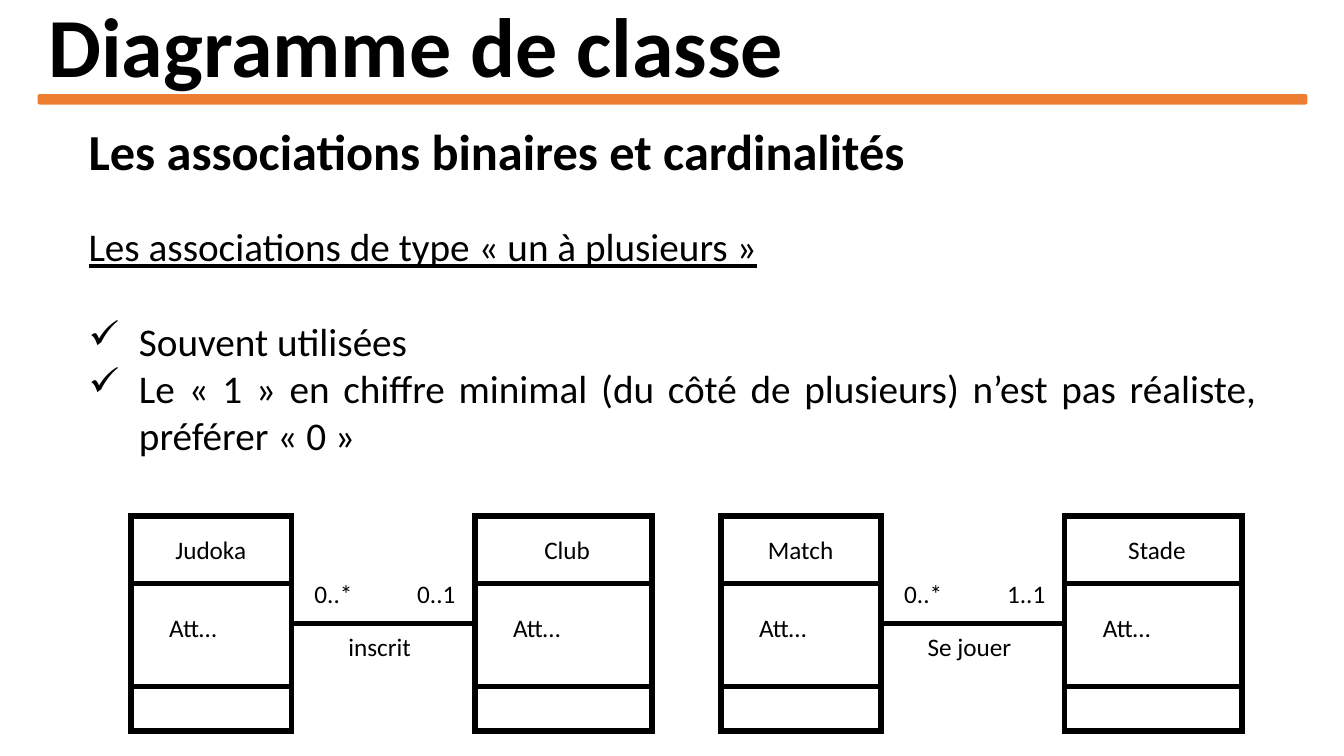
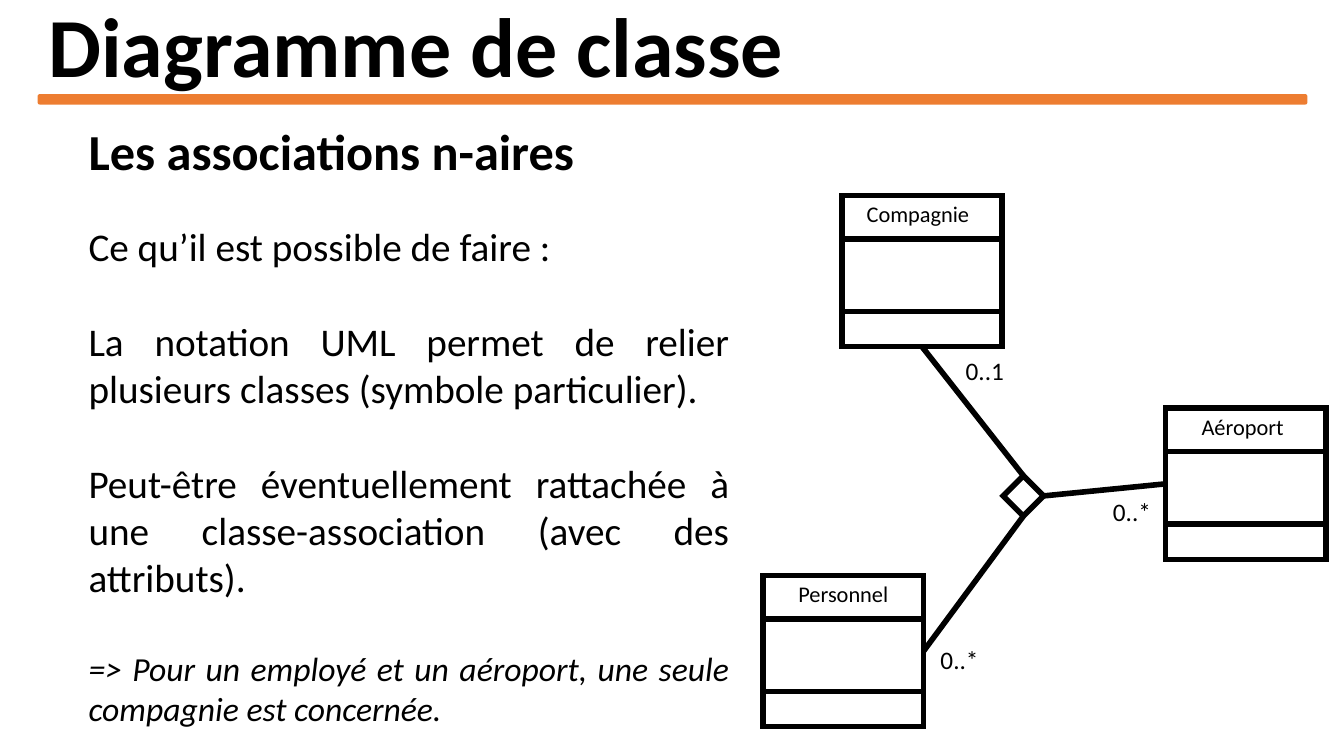
from lxml import etree
from pptx import Presentation
from pptx import util as u
from pptx.dml.color import RGBColor
from pptx.enum import shapes, text
from pptx.oxml.ns import qn

PX = 9144
COLORS = {"ink": "000000", "paper": "FFFFFF", "accent": "ED7D31"}
FONT = "Calibri"
GAP = 34
CENTER, JUSTIFY = text.PP_ALIGN.CENTER, text.PP_ALIGN.JUSTIFY
TOP, LEFT, BOTTOM, RIGHT = range(4)


def px(n):
    return u.Emu(round(n * PX))


def rgb(name):
    return RGBColor.from_string(COLORS[name])


def write(tf, words, size=18, bold=None, italic=None, underline=None,
          align=None, before=0, spacing=None, bullet=None):
    p = tf.paragraphs[0] if not tf.paragraphs[0].runs else tf.add_paragraph()
    if bullet:
        pPr = p._p.get_or_add_pPr()
        pPr.set("marL", str(px(50)))
        pPr.set("indent", str(-px(50)))
        etree.SubElement(pPr, qn("a:buChar")).set("char", bullet)
    p.alignment = align
    p.line_spacing = spacing
    if before:
        p.space_before = u.Pt(before)
    r = p.add_run()
    r.text = words
    f = r.font
    f.name, f.size, f.color.rgb = FONT, u.Pt(size), rgb("ink")
    f.bold, f.italic, f.underline = bold, italic, underline


class Deck:
    def __init__(self):
        self.prs = Presentation()
        self.prs.slide_width, self.prs.slide_height = px(1333), px(750)

    def slide(self, heading):
        self.s = self.prs.slides.add_slide(self.prs.slide_layouts[6])
        tf = self.box(38, 0, 1258, 100)
        tf.vertical_anchor = text.MSO_ANCHOR.MIDDLE
        write(tf, "Diagramme de classe", size=60, bold=True, spacing=0.9)
        self.shape("ROUNDED_RECTANGLE", 38, 94, 1258, 9,
                   fill="accent", line="accent", weight=1)
        self.label(heading, 78, 114, 1178, 71, size=36, bold=True, align=JUSTIFY)

    def box(self, x, y, w, h):
        tf = self.s.shapes.add_textbox(px(x), px(y), px(w), px(h)).text_frame
        tf.word_wrap = True
        return tf

    def label(self, words, x, y, w, h=40, **fmt):
        write(self.box(x, y, w, h), words, **fmt)

    def body(self, w, h, paragraphs):
        tf = self.box(78, 216, w, h)
        for words, fmt in paragraphs:
            write(tf, words, **{"size": 28, "align": JUSTIFY, **fmt})

    def shape(self, kind, x, y, w, h, fill="paper", line="ink", weight=4):
        sp = self.s.shapes.add_shape(shapes.MSO_SHAPE[kind], px(x), px(y), px(w), px(h))
        sp.shadow.inherit = False
        sp.fill.solid()
        sp.fill.fore_color.rgb = rgb(fill)
        sp.line.color.rgb, sp.line.width = rgb(line), u.Pt(weight)
        etree.SubElement(sp.line._get_or_add_ln(), qn("a:miter")).set("lim", "800000")
        return sp

    def line(self, x1, y1, x2, y2):
        c = self.s.shapes.add_connector(
            shapes.MSO_CONNECTOR.STRAIGHT, px(x1), px(y1), px(x2), px(y2))
        c.line.color.rgb, c.line.width = rgb("ink"), u.Pt(4)
        etree.SubElement(c._element.spPr, qn("a:effectLst"))
        return c

    def link(self, start, start_site, end, end_site):
        c = self.line(0, 0, 0, 0)
        c.begin_connect(start, start_site)
        c.end_connect(end, end_site)

    def uml_class(self, name, x, y, w, h, cuts, name_at, size=18):
        sp = self.shape("RECTANGLE", x, y, w, h)
        for cut in cuts:
            self.line(x, y + cut, x + w, y + cut)
        dx, dy, name_w = name_at
        self.label(name, x + dx, y + dy, name_w, size=size, align=CENTER)
        return sp

    def association(self, x, many, verb, one, cardinality):
        y, h, cuts = 512, 213, (67, 169)
        left = self.uml_class(many, x, y, 159, h, cuts, (7, 13, 144))
        right = self.uml_class(one, x + 341, y, 176, h, cuts, (29, 13, 125))
        for class_x in (x, x + 341):
            self.label("Att…", class_x + 28, 603, 100)
        self.link(left, RIGHT, right, LEFT)
        self.label("0..*", x + 172, 569, 60)
        self.label(cardinality, x + 274, 569, 67)
        self.label(verb, x + 167, 621, 159, align=CENTER)


def binary_slide(d):
    d.slide("Les associations binaires et cardinalités")
    d.body(1178, 246, [
        ("Les associations de type « un à plusieurs »", {"underline": True}),
        ("Souvent utilisées", {"bullet": "✓", "before": GAP}),
        ("Le « 1 » en chiffre minimal (du côté de plusieurs) n’est pas réaliste, "
         "préférer « 0 »", {"bullet": "✓"}),
    ])
    d.association(130, "Judoka", "inscrit", "Club", "0..1")
    d.association(715, "Match", "Se jouer", "Stade", "1..1")


def nary_slide(d):
    d.slide("Les associations n-aires")
    d.body(655, 528, [
        ("Ce qu’il est possible de faire :", {}),
        ("La notation UML permet de relier plusieurs classes (symbole particulier).",
         {"before": GAP}),
        ("Peut-être éventuellement rattachée à une classe-association "
         "(avec des attributs).", {"before": GAP}),
        ("=> Pour un employé et un aéroport, une seule compagnie est concernée.",
         {"before": GAP, "size": 24, "italic": True}),
    ])
    diamond = d.shape("DIAMOND", 995, 472, 40, 40)
    classes = [
        ("Compagnie", 835, 194, (0, 0, 151), BOTTOM, TOP),
        ("Personnel", 757, 571, (8, 0, 143), RIGHT, BOTTOM),
        ("Aéroport", 1156, 405, (0, 0, 153), LEFT, RIGHT),
    ]
    for name, x, y, name_at, class_site, diamond_site in classes:
        sp = d.uml_class(name, x, y, 159, 150, (43, 115), name_at, size=16)
        d.link(diamond, diamond_site, sp, class_site)
    for words, x, y in [("0..1", 948, 348), ("0..*", 923, 634), ("0..*", 1094, 487)]:
        d.label(words, x, y, 67)


def main():
    d = Deck()
    binary_slide(d)
    nary_slide(d)
    d.prs.save("out.pptx")


if __name__ == "__main__":
    main()
